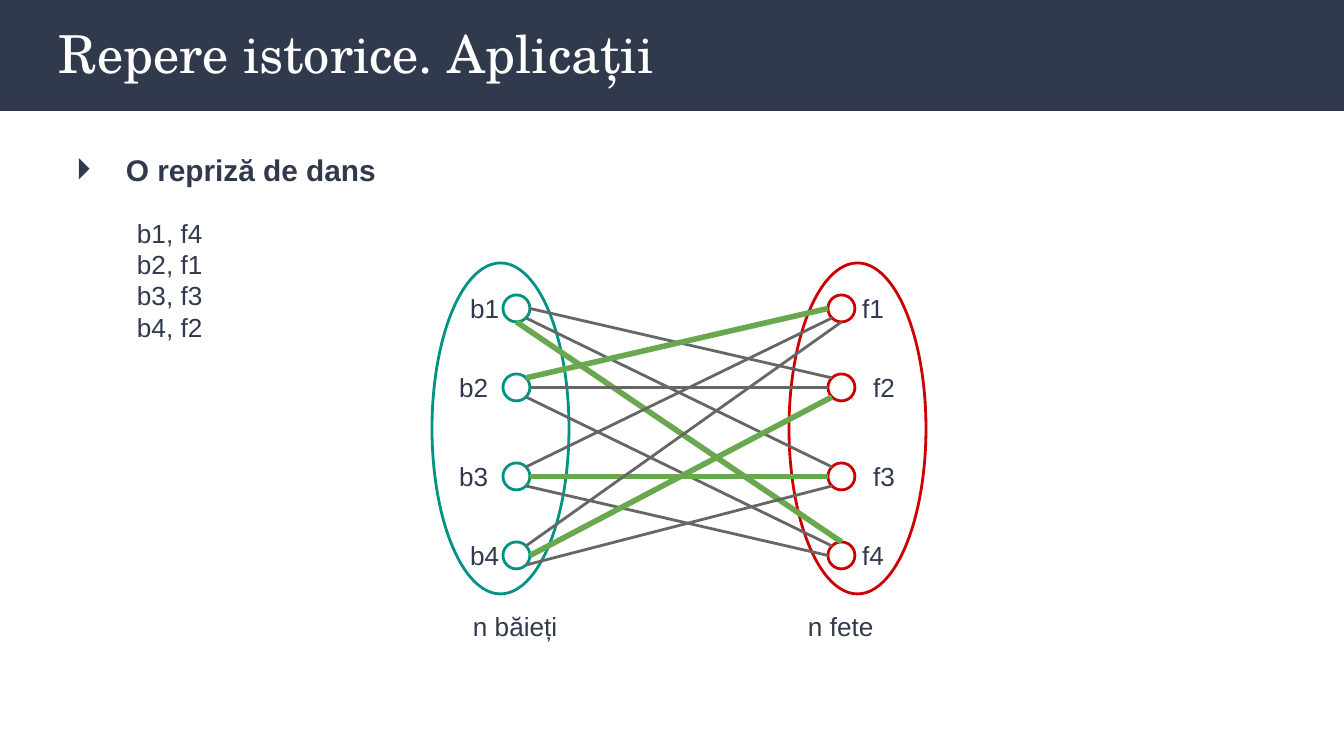
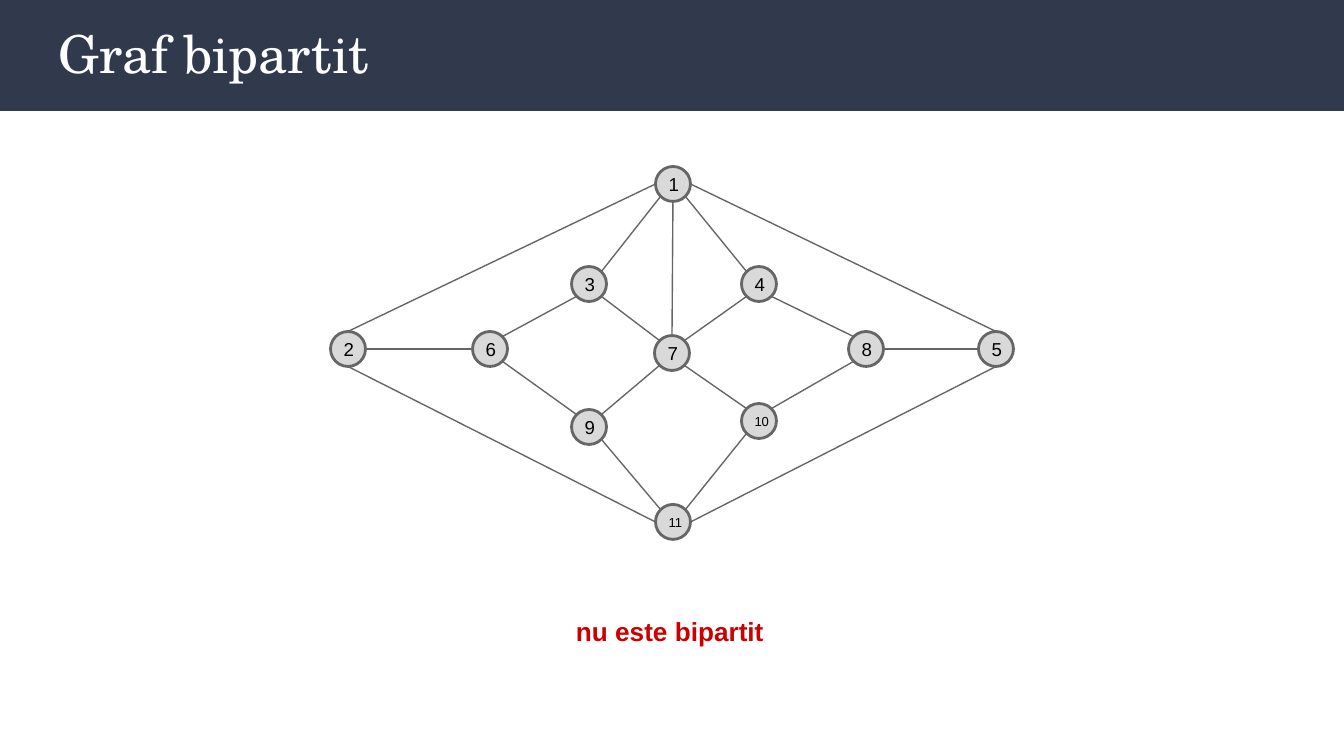
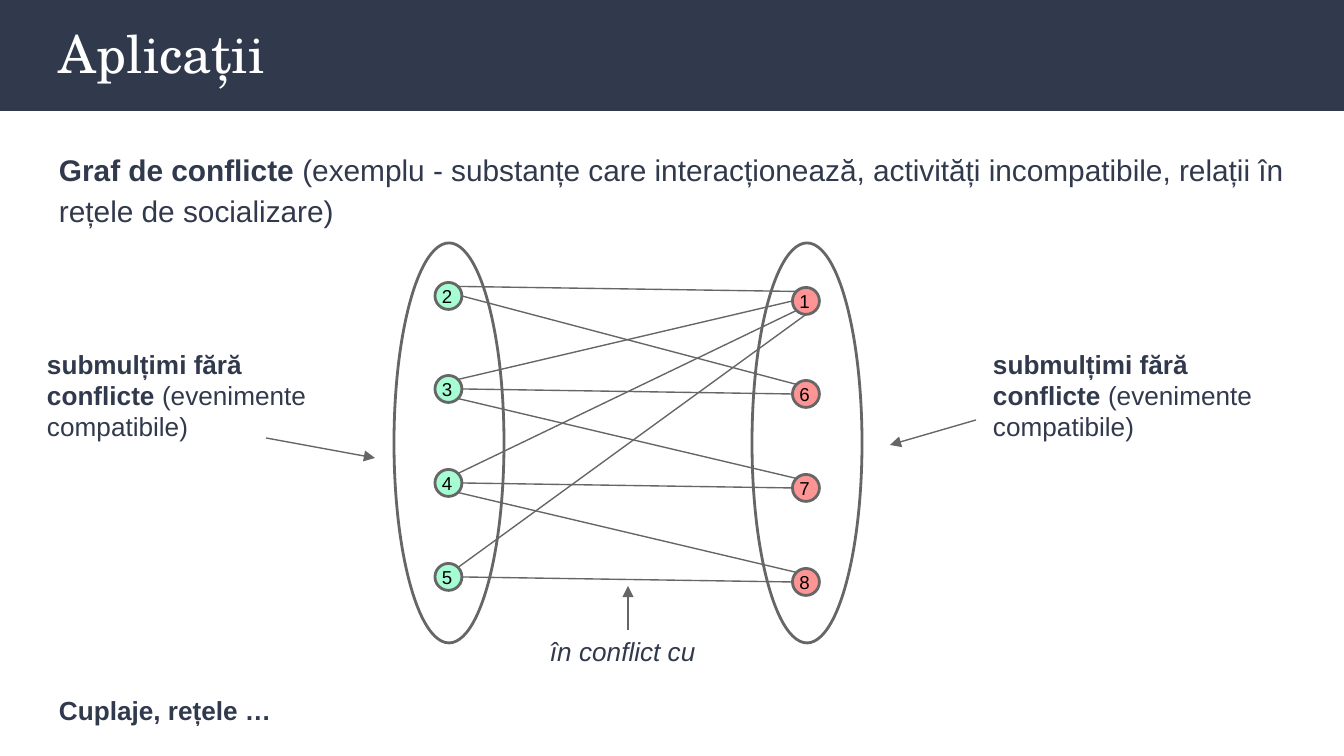
from lxml import etree
from pptx import Presentation, util as u
from pptx.dml.color import RGBColor
from pptx.enum import shapes, text
from pptx.oxml.ns import qn

SCALE = 9144000 / 1344  # EMU per px
C = {
    "navy": "31394D", "white": "FFFFFF", "black": "000000", "grey": "666666",
    "light": "D9D9D9", "teal": "009384", "red": "CC0000", "green": "6AA84F",
    "mint": "A6FDD3", "pink": "FF9494",
}
RECT, OVAL = shapes.MSO_SHAPE.RECTANGLE, shapes.MSO_SHAPE.OVAL
TITLE = {"size": u.Pt(28), "name": "TeX Gyre Schola"}
BODY = {"size": u.Pt(16)}
BOLD = {"bold": True}

# Points on a circle where edges attach, in radii from the centre
D = 0.5 ** 0.5
SITES = {"t": (0, -1), "b": (0, 1), "l": (-1, 0), "r": (1, 0),
         "tl": (-D, -D), "tr": (D, -D), "bl": (-D, D), "br": (D, D)}


def add(s, box, words="", g=None, fill=None, line=None, colour="navy",
        lead="", fmt={}, left=13, inset=13, spacing=None):
    """Add a shape of kind g, or a text box; lead is a bold opening run."""
    box = [int(v * SCALE) for v in box]
    if g is None:
        sp = s.shapes.add_textbox(*box)
    else:
        sp = s.shapes.add_shape(g, *box)
        sp.shadow.inherit = False
        if fill:
            sp.fill.solid()
            sp.fill.fore_color.rgb = RGBColor.from_string(C[fill])
        else:
            sp.fill.background()
        if line:
            sp.line.color.rgb = RGBColor.from_string(C[line])
            sp.line.width = u.Pt(1.5)
        else:
            sp.line.fill.background()
    if not words:
        return sp
    tf = sp.text_frame
    anchor = text.MSO_ANCHOR.MIDDLE if g else text.MSO_ANCHOR.TOP
    margin = int(inset * SCALE)
    for k, v in {"word_wrap": True, "vertical_anchor": anchor,
                 "margin_left": int(left * SCALE), "margin_top": margin,
                 "margin_right": margin, "margin_bottom": margin}.items():
        setattr(tf, k, v)
    for i, part in enumerate(words.split("\n")):
        p = tf.add_paragraph() if i else tf.paragraphs[0]
        p.alignment = text.PP_ALIGN.LEFT
        p.line_spacing = spacing
        runs = [(lead, BOLD)] if lead and i == 0 else []
        for content, extra in runs + [(part, {})]:
            r = p.add_run()
            r.text = content
            style = {"size": u.Pt(14), "name": "Arial"} | fmt | extra
            for k, v in style.items():
                setattr(r.font, k, v)
            r.font.color.rgb = RGBColor.from_string(C[colour])
    return sp


def link(s, start, end, colour="grey", width=0.75, arrow=False):
    ends = [int(v * SCALE) for v in (*start, *end)]
    cx = s.shapes.add_connector(shapes.MSO_CONNECTOR.STRAIGHT, *ends)
    cx.line.color.rgb = RGBColor.from_string(C[colour])
    cx.line.width = u.Pt(width)
    if arrow:
        etree.SubElement(cx.line._get_or_add_ln(), qn("a:tailEnd"), type="triangle")
    etree.SubElement(cx._element.spPr, qn("a:effectLst"))


prs = Presentation()
prs.slide_width, prs.slide_height = int(1344 * SCALE), int(756 * SCALE)

# Shared band and title
slides = []
for title in ("Repere istorice. Aplicații", "Graf bipartit", "Aplicații"):
    s = prs.slides.add_slide(prs.slide_layouts[6])
    add(s, (0, 0, 1344, 111), g=RECT, fill="navy")
    add(s, (46, 8, 1253, 91), title, colour="white", fmt=TITLE)
    slides.append(s)
dance, planar, conflicts = slides

# Slide 1: bulleted heading and list of pairs
sp = add(dance, (46, 133, 1253, 60), "O repriză de dans", fmt=BODY | BOLD, spacing=1.15)
pPr = sp.text_frame.paragraphs[0]._p.get_or_add_pPr()
pPr.set("marL", str(int(67 * SCALE)))
pPr.set("indent", str(int(-50 * SCALE)))
buClr = etree.SubElement(pPr, qn("a:buClr"))
etree.SubElement(buClr, qn("a:srgbClr"), val=C["navy"])
etree.SubElement(pPr, qn("a:buFont"), typeface="Arial")
etree.SubElement(pPr, qn("a:buChar"), char="⏵")
add(dance, (124, 204, 114, 153), "b1, f4\nb2, f1\nb3, f3\nb4, f2")

# Slide 1: both sets with their nodes; outer labels sit closer to the centre line
centres = {}
for name, x, colour, set_x, outer_x, inner_x in (
        ("b", 503, "teal", 432, 457, 446), ("f", 828, "red", 789, 849, 860)):
    add(dance, (set_x, 263, 137, 331), g=OVAL, line=colour)
    for i, y in enumerate((295, 374, 463, 542), 1):
        add(dance, (x, y, 27, 27), g=OVAL, line=colour)
        centres[f"{name}{i}"] = (x + 13.5, y + 13.5)
        label_x = outer_x if i in (1, 4) else inner_x
        add(dance, (label_x, y - 16, 59, 59), f"{name}{i}")
add(dance, (460, 597, 114, 59), "n băieți")
add(dance, (795, 597, 94, 59), "n fete")
dance_edges = """b1.r-f2.tl b1.br-f3.tl b1.b-f4.t b2.tr-f1.l b2.r-f2.l b2.br-f4.tl
                 b3.tr-f1.bl b3.r-f3.l b3.br-f4.l b4.tr-f1.b b4.r-f2.bl b4.br-f3.bl"""
pairs = {"b1f4", "b2f1", "b3f3", "b4f2"}

# Slide 2: numbered nodes by centre
planar_centres = {
    "1": (673, 184), "2": (348, 349), "3": (589, 284), "4": (759, 284),
    "5": (996, 349), "6": (490, 349), "7": (672, 353), "8": (866, 349),
    "9": (589, 427), "10": (759, 421), "11": (673, 522),
}
for n, (x, y) in planar_centres.items():
    size = u.Pt(10 if len(n) == 1 else 7)
    add(planar, (x - 17.5, y - 17.5, 35, 35), n, g=OVAL, fill="light", line="grey",
        colour="black", fmt={"size": size}, left=8, inset=0)
planar_edges = """1.l-2.t 1.r-5.t 2.b-11.l 11.r-5.b 1.bl-3.tr 1.br-4.tl 2.r-6.l
                  5.l-8.r 3.br-7.tl 7.tr-4.bl 6.tr-3.bl 6.br-9.tl 9.tr-7.bl 4.br-8.tl
                  10.tr-8.bl 7.br-10.tl 9.br-11.tl 10.bl-11.tr 1.b-7.t"""
add(planar, (563, 602, 220, 59), "nu este bipartit", colour="red", fmt=BOLD)

# Slide 3: text
add(conflicts, (46, 133, 1254, 110),
    " (exemplu - substanțe care interacționează, activități incompatibile, "
    "relații în rețele de socializare)",
    lead="Graf de conflicte", fmt=BODY, spacing=1.15)
for x in (34, 980):
    add(conflicts, (x, 335, 332, 122), "(evenimente compatibile)",
        lead="submulțimi fără conflicte ")
add(conflicts, (537, 622, 183, 59), "în conflict cu", fmt={"italic": True})
add(conflicts, (46, 681, 349, 59), "Cuplaje, rețele …", fmt=BOLD)

# Slide 3: two columns of nodes inside their sets
conflict_centres = {}
for numbers, x, first_y, fill, set_x in (
        ("2345", 448.5, 296, "mint", 394), ("1678", 806, 301, "pink", 752)):
    for i, n in enumerate(numbers):
        y = first_y + 281 * i // 3
        conflict_centres[n] = (x, y)
        add(conflicts, (x - 13.5, y - 13.5, 27, 27), n, g=OVAL, fill=fill, line="grey",
            colour="black", fmt={"size": u.Pt(10)}, left=3, inset=0)
    add(conflicts, (set_x, 243, 110, 400), g=OVAL, line="grey")
conflict_edges = """2.tr-1.tl 2.r-6.tl 3.tr-1.l 3.r-6.l 3.br-7.tl
                    4.tr-1.bl 4.r-7.l 4.br-8.tl 5.tr-1.b 5.r-8.l"""
for start, end in (((266, 438), (375, 458)), ((976, 420), (890, 445)),
                   ((628, 630), (628, 586))):
    link(conflicts, start, end, arrow=True)

# Edges of all three graphs; the chosen dance pairs stand out
for s, nodes, radius, edges, width in (
        (dance, centres, 13.5, dance_edges, 1.5),
        (planar, planar_centres, 17.5, planar_edges, 0.75),
        (conflicts, conflict_centres, 13.5, conflict_edges, 0.75)):
    for edge in edges.split():
        names, points = "", []
        for end in edge.split("-"):
            n, site = end.split(".")
            names += n
            points.append([c + radius * d for c, d in zip(nodes[n], SITES[site])])
        if names in pairs:
            link(s, *points, colour="green", width=3)
        else:
            link(s, *points, width=width)

prs.save("out.pptx")
